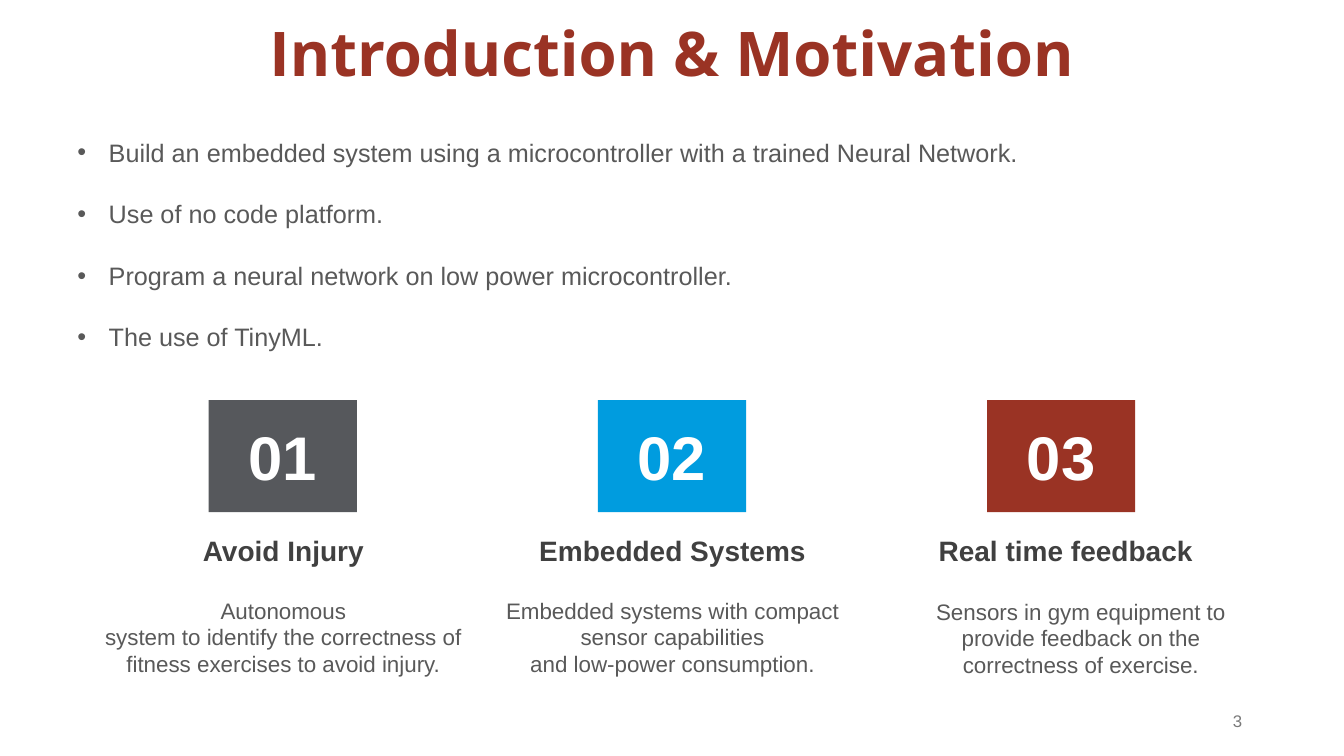
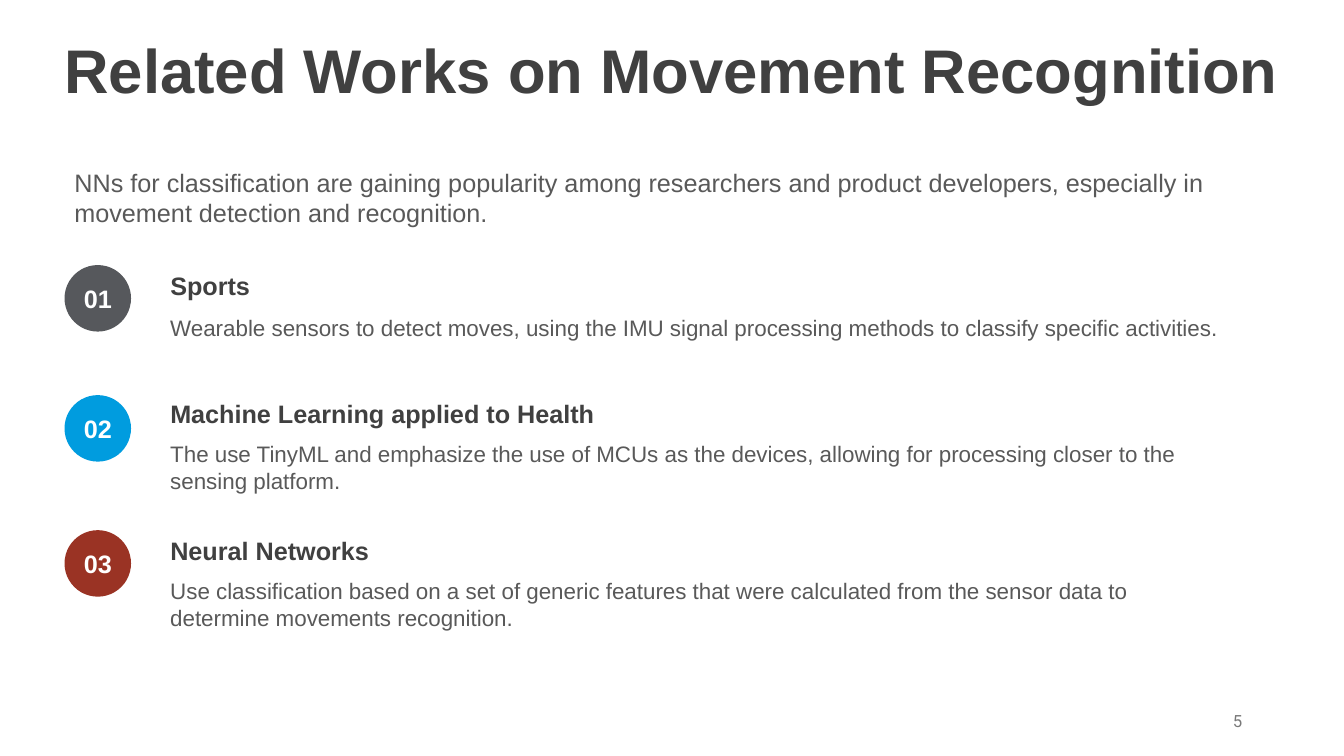
from dataclasses import dataclass

from lxml import etree
from pptx import Presentation
from pptx.dml.color import RGBColor
from pptx.enum.shapes import MSO_SHAPE
from pptx.enum.text import MSO_ANCHOR, MSO_AUTO_SIZE, PP_ALIGN
from pptx.oxml.ns import qn
from pptx.util import Inches, Pt

LEFT, CENTER, RIGHT = PP_ALIGN.LEFT, PP_ALIGN.CENTER, PP_ALIGN.RIGHT
TOP, MIDDLE = MSO_ANCHOR.TOP, MSO_ANCHOR.MIDDLE
RECTANGLE, OVAL = MSO_SHAPE.RECTANGLE, MSO_SHAPE.OVAL
NO_AUTOFIT = MSO_AUTO_SIZE.NONE


@dataclass(frozen=True)
class Theme:
    font: str = "Arial"
    gray: str = "56585C"
    blue: str = "009CDF"
    red: str = "9A3324"
    heading: str = "404040"
    body: str = "595959"
    footer: str = "797979"
    white: str = "FFFFFF"
    title_size: int = 44
    column_heading_size: int = 20
    lead_size: int = 18
    body_size: int = 16
    footer_size: int = 12


theme = Theme()
accents = (theme.gray, theme.blue, theme.red)


def write(box, lines, size, color, bold=False, align=LEFT, anchor=TOP, font=theme.font):
    frame = box.text_frame
    frame.word_wrap = True
    frame.auto_size = NO_AUTOFIT
    frame.vertical_anchor = anchor
    for index, line in enumerate(lines):
        para = frame.add_paragraph() if index else frame.paragraphs[0]
        para.text = line
        para.alignment = align
        para.font.name = font
        para.font.size = Pt(size)
        para.font.bold = bold
        para.font.color.rgb = RGBColor.from_string(color)
    return frame


def add_badge(page, kind, left, top, width, height, number, size):
    badge = page.shapes.add_shape(
        kind, Inches(left), Inches(top), Inches(width), Inches(height)
    )
    badge.shadow.inherit = False
    badge.fill.solid()
    badge.fill.fore_color.rgb = RGBColor.from_string(accents[number - 1])
    badge.line.fill.background()
    frame = write(badge, [f"{number:02d}"], size, theme.white, True, CENTER, MIDDLE)
    frame.margin_left = frame.margin_right = 0


deck = Presentation()
deck.slide_width = Inches(13.33)
deck.slide_height = Inches(7.5)
title_only = deck.slide_layouts[5]

pages = []
for heading, height, color, title_font, page_number, number_font in (
    ("Introduction & Motivation", 1.12, theme.red, "Open Sans", "3", theme.font),
    ("Related Works on Movement Recognition", 1.45, theme.heading, theme.font, "5", "Roboto"),
):
    page = deck.slides.add_slide(title_only)
    title = page.shapes.title
    title.left, title.top = Inches(0), Inches(0)
    title.width, title.height = deck.slide_width, Inches(height)
    frame = write(title, [heading], theme.title_size, color, True, CENTER, MIDDLE, title_font)
    frame.paragraphs[0].line_spacing = 0.9
    footer = page.shapes.add_textbox(Inches(9.42), Inches(6.95), Inches(3), Inches(0.4))
    write(footer, [page_number], theme.footer_size, theme.footer, False, RIGHT, MIDDLE, number_font)
    pages.append(page)

introduction, related_works = pages

goals = introduction.shapes.add_textbox(Inches(0.67), Inches(1.31), Inches(11.59), Inches(2.22))
goal_lines = (
    "Build an embedded system using a microcontroller with a trained Neural Network.",
    "Use of no code platform.",
    "Program a neural network on low power microcontroller.",
    "The use of TinyML.",
)
for para in write(goals, goal_lines, theme.lead_size, theme.body).paragraphs:
    para.space_after = Pt(22.4)
    properties = para._p.get_or_add_pPr()
    properties.set("marL", str(Inches(0.31)))
    properties.set("indent", str(-Inches(0.31)))
    etree.SubElement(properties, qn("a:buFont")).set("typeface", theme.font)
    etree.SubElement(properties, qn("a:buChar")).set("char", "•")
    defaults = properties.find(qn("a:defRPr"))
    properties.append(defaults)

first_center, column_pitch = 2.81, 3.86
columns = (
    ("Avoid Injury", 0, 2.99,
     "Autonomous\vsystem to identify the correctness of fitness exercises to avoid injury.", 0, 5.87, 4.02),
    ("Embedded Systems", 0, 2.99,
     "Embedded systems with compact sensor capabilities\vand low-power consumption.", 0, 5.87, 4.02),
    ("Real time feedback", 0.04, 4.33,
     "Sensors in gym equipment to provide feedback on the correctness of exercise.", 0.19, 5.88, 3.72),
)
for number, column in enumerate(columns, 1):
    heading, heading_shift, heading_width, body, body_shift, body_top, body_width = column
    center = first_center + (number - 1) * column_pitch
    add_badge(introduction, RECTANGLE, center - 0.74, 3.97, 1.47, 1.11, number, theme.title_size)
    for text, shift, top, width, height, size, color, bold in (
        (heading, heading_shift, 5.24, heading_width, 0.44, theme.column_heading_size, theme.heading, True),
        (body, body_shift, body_top, body_width, 0.91, theme.body_size, theme.body, False),
    ):
        left = center + shift - width / 2
        box = introduction.shapes.add_textbox(
            Inches(left), Inches(top), Inches(width), Inches(height)
        )
        write(box, [text], size, color, bold, CENTER)

lead = related_works.shapes.add_textbox(Inches(0.64), Inches(1.61), Inches(11.96), Inches(0.71))
write(
    lead,
    ["NNs for classification are gaining popularity among researchers and product developers, "
     "especially in movement detection and recognition."],
    theme.lead_size,
    theme.body,
)

topics = (
    (2.63, 2.63, "Sports", 3.07, 0.37,
     "Wearable sensors to detect moves, using the IMU signal processing methods "
     "to classify specific activities."),
    (3.92, 3.9, "Machine Learning applied to Health", 4.32, 0.64,
     "The use TinyML and emphasize the use of MCUs as the devices, "
     "allowing for processing closer to the sensing platform."),
    (5.26, 5.26, "Neural Networks", 5.68, 0.64,
     "Use classification based on a set of generic features that were calculated "
     "from the sensor data to determine movements recognition."),
)
for number, topic in enumerate(topics, 1):
    badge_top, heading_top, heading, body_top, body_height, body = topic
    add_badge(related_works, OVAL, 0.64, badge_top, 0.66, 0.66, number, theme.lead_size)
    for text, top, width, height, size, color, bold in (
        (heading, heading_top, 4.88, 0.4, theme.lead_size, theme.heading, True),
        (body, body_top, 10.67, body_height, theme.body_size, theme.body, False),
    ):
        box = related_works.shapes.add_textbox(
            Inches(1.59), Inches(top), Inches(width), Inches(height)
        )
        write(box, [text], size, color, bold)

deck.save("out.pptx")
